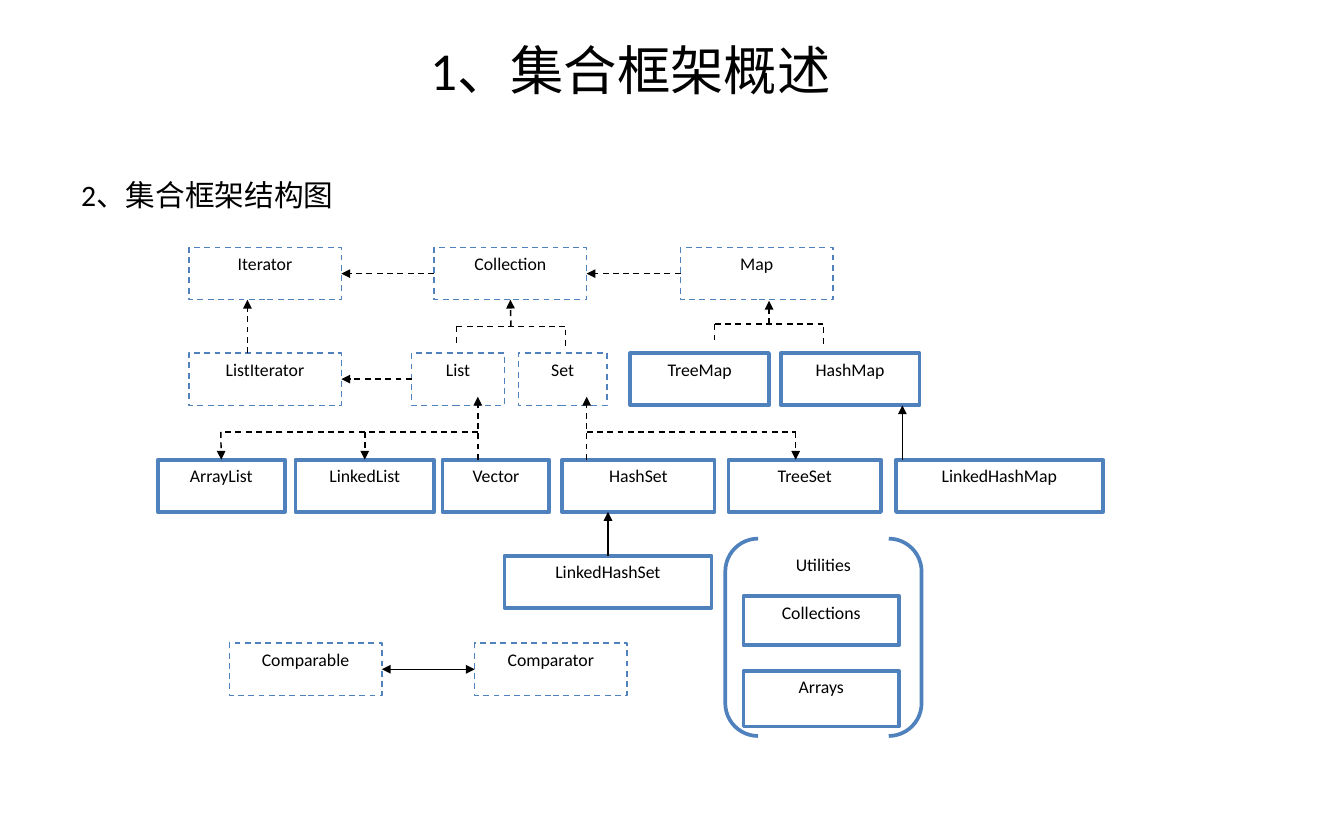
from dataclasses import dataclass

from lxml import etree
from pptx import Presentation
from pptx import util as u
from pptx.dml.color import RGBColor
from pptx.enum import dml, shapes, text
from pptx.oxml.ns import qn


@dataclass(frozen=True)
class Theme:
    font: str = "Calibri"
    ink: RGBColor = RGBColor(0x00, 0x00, 0x00)
    paper: RGBColor = RGBColor(0xFF, 0xFF, 0xFF)
    accent: RGBColor = RGBColor(0x4F, 0x81, 0xBD)
    title: int = 36
    heading: int = 20
    label: int = 12
    thin: float = 0.75
    dashed: float = 1
    thick: float = 2.5


THEME = Theme()
SLIDE_W = 12.6
SLIDE_H = SLIDE_W * 10 / 16
BOX_H = 0.49
# Each row: top, dashed outline, then (name, left, width) for each box.
ROWS = [
    (2.32, True, [("Iterator", 1.77, 1.43), ("Collection", 4.07, 1.43),
                  ("Map", 6.38, 1.43)]),
    (3.31, True, [("ListIterator", 1.77, 1.43), ("List", 3.86, 0.87),
                  ("Set", 4.86, 0.83)]),
    (3.31, False, [("TreeMap", 5.91, 1.3), ("HashMap", 7.32, 1.3)]),
    (4.31, False, [("ArrayList", 1.48, 1.19), ("LinkedList", 2.77, 1.3),
                   ("Vector", 4.15, 1), ("HashSet", 5.27, 1.43),
                   ("TreeSet", 6.83, 1.43), ("LinkedHashMap", 8.4, 1.94)]),
    (5.21, False, [("LinkedHashSet", 4.73, 1.94)]),
    (6.03, True, [("Comparable", 2.15, 1.43), ("Comparator", 4.45, 1.43)]),
]
TOP, LEFT, BOTTOM, RIGHT = range(4)


def write(sp, words, size, align=text.PP_ALIGN.CENTER, anchor=text.MSO_ANCHOR.TOP,
          inset=(0.1, 0.05)):
    tf = sp.text_frame
    tf.word_wrap = True
    tf.auto_size = text.MSO_AUTO_SIZE.NONE
    tf.vertical_anchor = anchor
    tf.margin_left = tf.margin_right = u.Inches(inset[0])
    tf.margin_top = tf.margin_bottom = u.Inches(inset[1])
    p = tf.paragraphs[0]
    p.alignment = align
    r = p.add_run()
    r.text = words
    r.font.name = THEME.font
    r.font.size = u.Pt(size)
    r.font.color.rgb = THEME.ink


def place(sp, x, y, w, h):
    sp.left, sp.top, sp.width, sp.height = map(u.Inches, (x, y, w, h))


def add_box(slide, name, x, y, w, h=BOX_H, dashed=False,
            kind=shapes.MSO_SHAPE.RECTANGLE):
    sp = slide.shapes.add_shape(kind, *map(u.Inches, (x, y, w, h)))
    sp.shadow.inherit = False
    sp.fill.solid()
    sp.fill.fore_color.rgb = THEME.paper
    sp.line.color.rgb = THEME.accent
    sp.line.width = u.Pt(THEME.dashed if dashed else THEME.thick)
    if dashed:
        sp.line.dash_style = dml.MSO_LINE.DASH
    write(sp, name, THEME.label)
    return sp


def add_line(slide, begin, end, dashed=True, ends=()):
    """Draw a line between ends given as (x, y) or as (shape, side)."""
    def is_point(spot):
        return isinstance(spot[0], (int, float))

    points = [spot if is_point(spot) else (0, 0) for spot in (begin, end)]
    c = slide.shapes.add_connector(
        shapes.MSO_CONNECTOR.STRAIGHT, *(u.Inches(v) for pt in points for v in pt))
    if not is_point(begin):
        c.begin_connect(*begin)
    if not is_point(end):
        c.end_connect(*end)
    c.line.color.rgb = THEME.ink
    c.line.width = u.Pt(THEME.dashed if dashed else THEME.thin)
    if dashed:
        c.line.dash_style = dml.MSO_LINE.DASH
    sp_pr = c._element.spPr
    for tag in ends:
        etree.SubElement(sp_pr.find(qn("a:ln")), qn(f"a:{tag}"), type="triangle")
    etree.SubElement(sp_pr, qn("a:effectLst"))


def add_arrow(slide, begin, end, dashed=True):
    add_line(slide, begin, end, dashed, ["tailEnd"])


def add_fork(slide, x, y, parent):
    """Join two children below a bar at (x, y) to the parent above it."""
    add_arrow(slide, (x, y), parent)
    add_line(slide, (x - 0.51, y), (x + 0.54, y))
    add_line(slide, (x - 0.51, y), (x - 0.51, y + 0.17))
    add_line(slide, (x + 0.51, y + 0.03), (x + 0.51, y + 0.2))


def add_utilities(slide):
    frame = add_box(slide, "Utilities", 6.8, 5.05, 1.84, 1.85,
                    kind=shapes.MSO_SHAPE.DOUBLE_BRACKET)
    frame.adjustments[0] = 0.167
    add_box(slide, "Collections", 6.97, 5.59, 1.46, 0.46)
    add_box(slide, "Arrays", 6.97, 6.29, 1.46, 0.52)


def add_relations(slide, box):
    for child, parent in [("Collection", "Iterator"), ("Map", "Collection"),
                          ("List", "ListIterator")]:
        add_arrow(slide, (box[child], LEFT), (box[parent], RIGHT))
    add_arrow(slide, (2.32, 3.31), (2.32, 2.81))
    add_fork(slide, 4.79, 3.06, (box["Collection"], BOTTOM))
    add_fork(slide, 7.21, 3.04, (7.21, 2.82))

    bar = 4.05
    for x, far in [(4.48, 2.07), (5.5, 7.46)]:
        add_arrow(slide, (x, 4.31), (x, 3.72))
        add_line(slide, (x, bar), (far, bar))
    add_arrow(slide, (2.07, bar), (box["ArrayList"], TOP))
    add_arrow(slide, (3.42, bar), (box["LinkedList"], TOP))
    add_arrow(slide, (7.46, bar), (7.46, 4.31))

    add_arrow(slide, (box["LinkedHashSet"], TOP), (5.7, 4.8), dashed=False)
    add_arrow(slide, (8.46, 4.31), (8.46, 3.8), dashed=False)
    add_line(slide, (box["Comparable"], RIGHT), (box["Comparator"], LEFT),
             dashed=False, ends=["headEnd", "tailEnd"])


def add_headings(slide):
    inset = (0.13, 0.07)
    title = slide.shapes.title
    place(title, 1.58, 0.32, 8.66, 0.66)
    write(title, "1、集合框架概述", THEME.title, anchor=text.MSO_ANCHOR.MIDDLE,
          inset=inset)
    heading = slide.shapes.add_textbox(*map(u.Inches, (0.63, 1.59, 11.34, 5.31)))
    write(heading, "2、集合框架结构图", THEME.heading, align=text.PP_ALIGN.LEFT,
          inset=inset)


def main():
    prs = Presentation()
    prs.slide_width, prs.slide_height = u.Inches(SLIDE_W), u.Inches(SLIDE_H)
    slide = prs.slides.add_slide(prs.slide_layouts[5])
    add_headings(slide)
    add_utilities(slide)
    box = {name: add_box(slide, name, x, y, w, dashed=dashed)
           for y, dashed, row in ROWS for name, x, w in row}
    add_relations(slide, box)
    prs.save("out.pptx")


if __name__ == "__main__":
    main()
